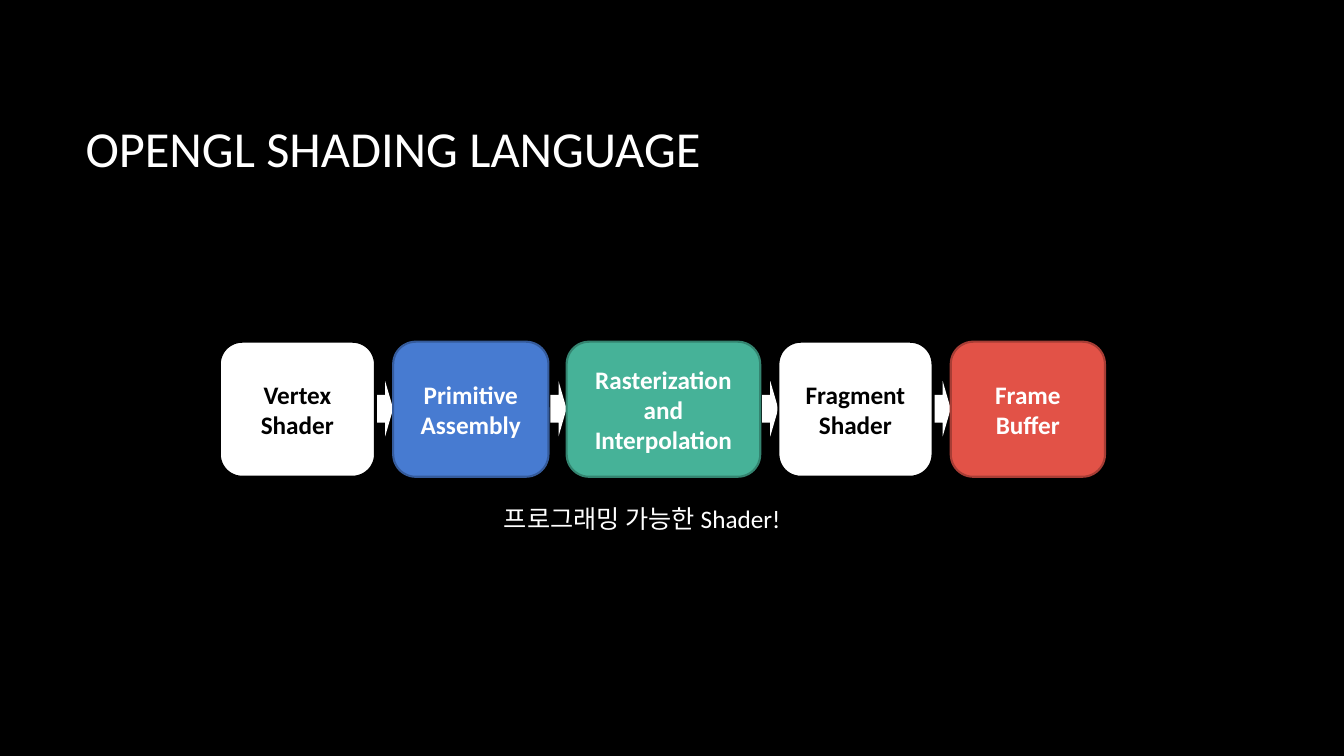
"""Build a slide showing the stages of the OpenGL shading pipeline."""
from pptx import Presentation
from pptx.dml.color import RGBColor
from pptx.enum.shapes import MSO_SHAPE
from pptx.enum.text import MSO_ANCHOR, PP_ALIGN
from pptx.util import Inches, Pt

ROUND, ARROW = MSO_SHAPE.ROUNDED_RECTANGLE, MSO_SHAPE.RIGHT_ARROW
MIDDLE, TOP = MSO_ANCHOR.MIDDLE, MSO_ANCHOR.TOP
LEFT, CENTER = PP_ALIGN.LEFT, PP_ALIGN.CENTER
BLACK, WHITE = "000000", "FFFFFF"


def paint(fill, color):
    fill.solid()
    fill.fore_color.rgb = RGBColor.from_string(color)


def write(shape, text, size=18, color=WHITE, bold=False, align=LEFT, anchor=TOP):
    frame = shape.text_frame
    frame.word_wrap = True
    frame.vertical_anchor = anchor
    par = frame.paragraphs[0]
    par.alignment = align
    run = par.add_run()
    run.text = text
    run.font.name = "Calibri"
    run.font.size = Pt(size)
    run.font.bold = bold
    paint(run.font.fill, color)


deck = Presentation()
deck.slide_width, deck.slide_height = Inches(13.33), Inches(7.5)
slide = deck.slides.add_slide(deck.slide_layouts[6])
paint(slide.background.fill, BLACK)
shapes = slide.shapes

title = shapes.add_textbox(Inches(0.75), Inches(0.67), Inches(11.08), Inches(1.59))
write(title, "OPENGL SHADING LANGUAGE", size=36, anchor=MIDDLE)

stages = [
    ("Vertex Shader", 1.54, WHITE, BLACK, BLACK),
    ("Primitive Assembly", 1.54, "477BD1", "355B9B", WHITE),
    ("Rasterization and Interpolation", 1.92, "46B298", "348470", WHITE),
    ("Fragment Shader", 1.53, WHITE, BLACK, BLACK),
    ("Frame Buffer", 1.53, "E25247", "A73D35", WHITE),
]
gap, tip = 0.18, 0.16
left = 2.18
for index, (name, width, fill, edge, ink) in enumerate(stages):
    if index:
        arrow = shapes.add_shape(
            ARROW, Inches(left - tip), Inches(3.78), Inches(tip), Inches(0.55))
        arrow.shadow.inherit = False
        paint(arrow.fill, WHITE)
        arrow.line.fill.background()
    box = shapes.add_shape(
        ROUND, Inches(left), Inches(3.39), Inches(width), Inches(1.34))
    box.shadow.inherit = False
    paint(box.fill, fill)
    paint(box.line.fill, edge)
    box.line.width = Pt(1.5)
    write(box, name, color=ink, bold=True, align=CENTER, anchor=MIDDLE)
    left += width + gap

note = shapes.add_textbox(Inches(4.9), Inches(4.94), Inches(3.36), Inches(0.4))
write(note, "프로그래밍 가능한 Shader!")

deck.save("out.pptx")
